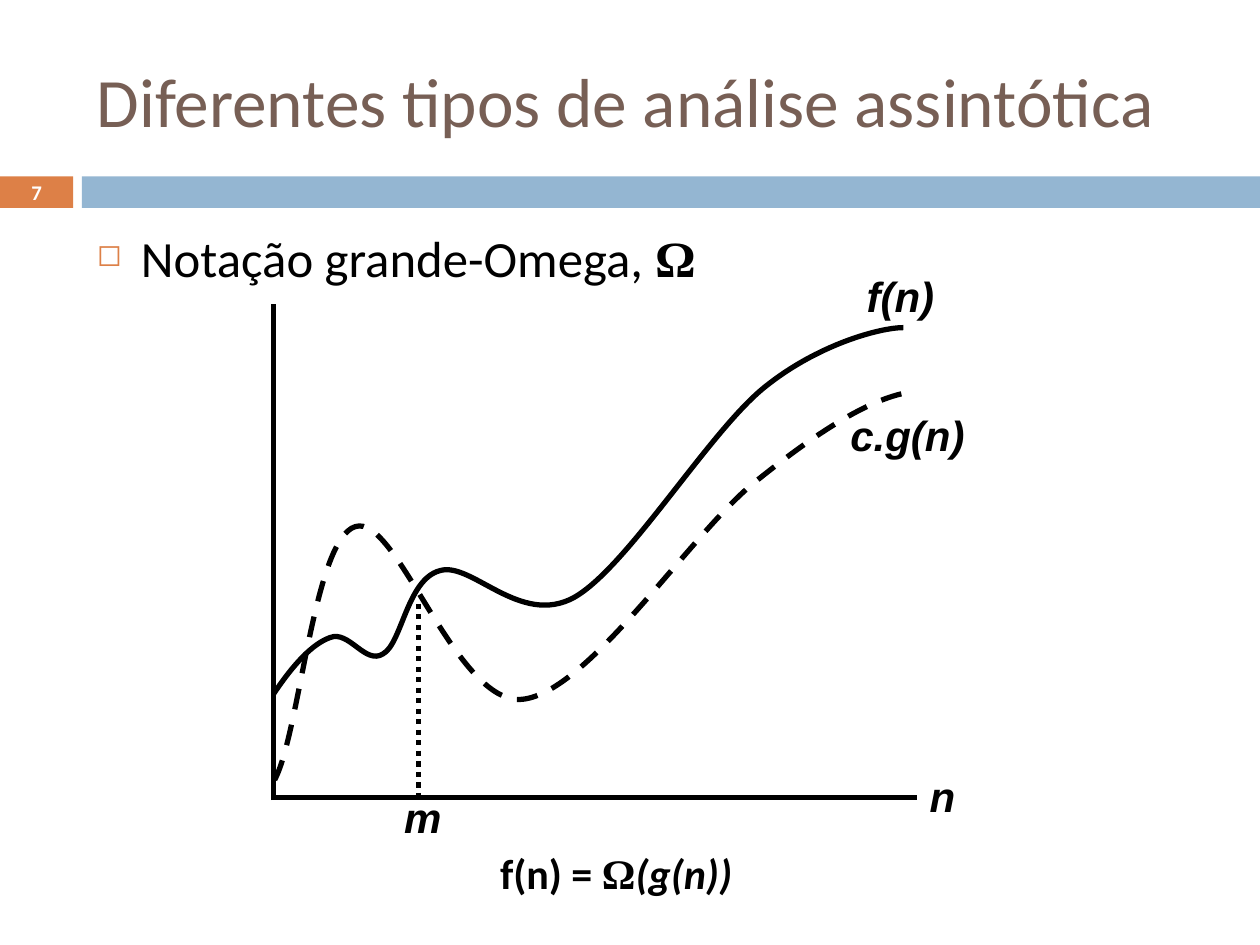
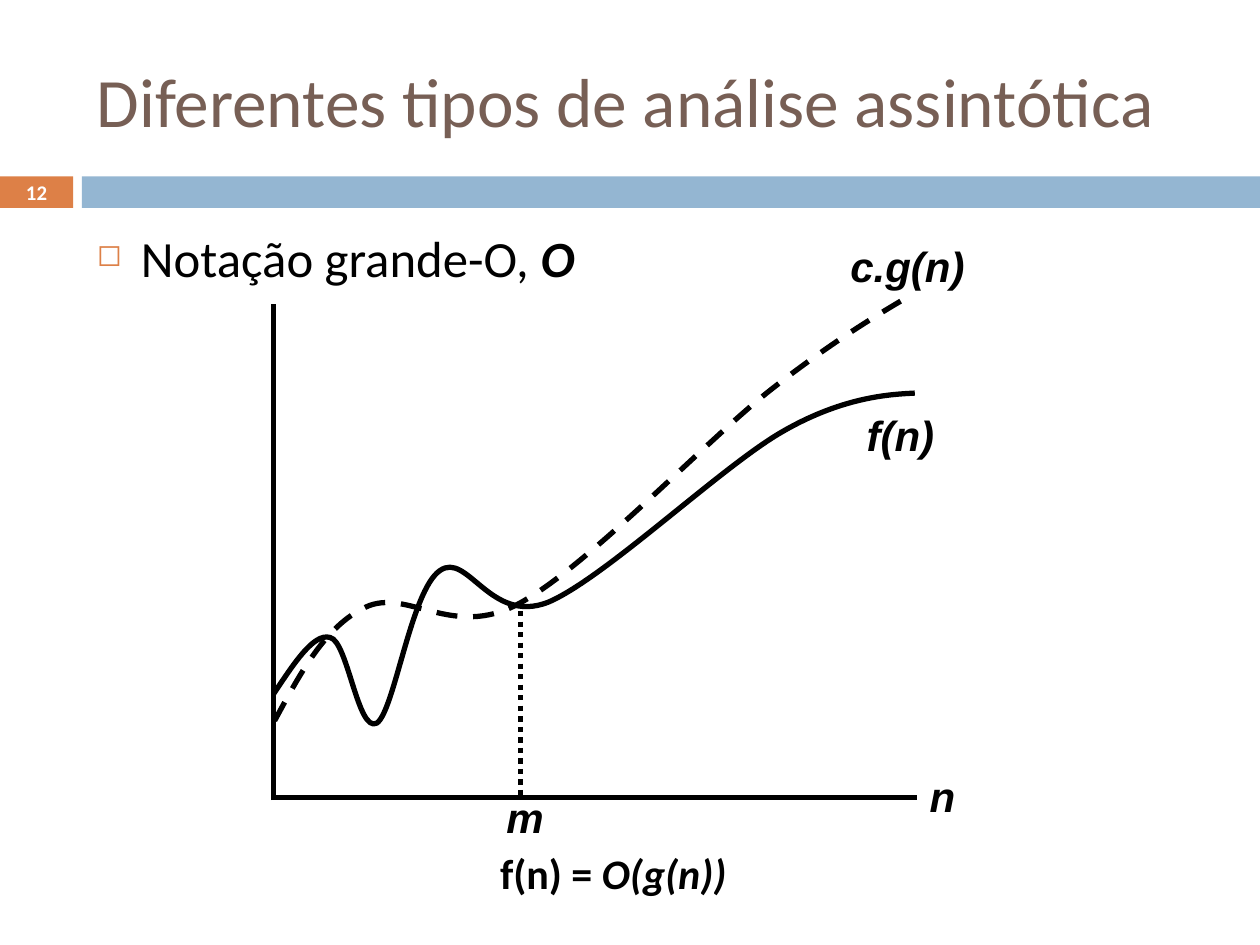
"""Build two slides on asymptotic analysis, each with a plot of f(n) and c.g(n)."""
from lxml.etree import SubElement
from pptx import Presentation
from pptx.dml.color import RGBColor as RGB
from pptx.enum.dml import MSO_LINE as DASH
from pptx.enum.shapes import MSO_CONNECTOR as LINK, MSO_SHAPE as SHAPE
from pptx.enum.text import MSO_ANCHOR as ANCHOR, PP_ALIGN as ALIGN
from pptx.oxml.ns import qn
from pptx.util import Inches, Pt

COLORS = {"ink": "000000", "title": "775F55", "orange": "DD8047",
          "blue": "94B6D2", "white": "FFFFFF"}
TITLE = "Diferentes tipos de análise assintótica"
ITALIC = {"bold": True, "italic": True}
OMEGA = {"font": "Times New Roman", "bold": True}
BASE, LEFT = 6.33, 2.17

SLIDES = [
    {"number": "7",
     "head": [("Notação grande-Omega, ", {}), ("Ω", OMEGA)],
     "rule": [("f(n) = ", {}), ("Ω", OMEGA), ("(g(n))", ITALIC)],
     "cross": (3.32, 4.79),
     "labels": [("c.g(n)", 6.65, 3.2, 1.34), ("f(n)", 6.78, 2.1, 1.06)],
     "f": [(2.17, 5.51), (2.33, 5.27), (2.48, 5.11), (2.62, 5.06),
           (2.77, 5), (2.9, 5.28), (3.04, 5.19),
           (3.19, 5.11), (3.23, 4.6), (3.49, 4.53),
           (3.74, 4.45), (4.13, 4.98), (4.56, 4.74),
           (4.98, 4.5), (5.62, 3.44), (6.06, 3.08),
           (6.49, 2.73), (6.99, 2.6), (7.17, 2.6)],
     "g": [(2.18, 6.19), (2.38, 5.82), (2.49, 4.28), (2.82, 4.18),
           (3.15, 4.07), (3.62, 5.61), (4.15, 5.55),
           (4.68, 5.49), (5.49, 4.22), (6, 3.82),
           (6.51, 3.41), (6.93, 3.15), (7.24, 3.11)]},
    {"number": "12",
     "head": [("Notação grande-O, ", {}), ("O", ITALIC)],
     "rule": [("f(n) = ", {}), ("O(g(n))", ITALIC)],
     "cross": (4.13, 4.85),
     "labels": [("c.g(n)", 6.65, 1.86, 1.34), ("f(n)", 6.78, 3.2, 1.06)],
     "f": [(2.17, 5.51), (2.33, 5.27), (2.49, 5.02), (2.62, 5.06),
           (2.76, 5.09), (2.84, 5.82), (2.99, 5.74),
           (3.13, 5.65), (3.26, 4.69), (3.49, 4.53),
           (3.71, 4.37), (3.89, 4.96), (4.35, 4.78),
           (4.8, 4.59), (5.74, 3.69), (6.22, 3.42),
           (6.71, 3.14), (7.09, 3.13), (7.26, 3.12)],
     "g": [(2.18, 5.72), (2.38, 5.35), (2.58, 4.97), (2.9, 4.82),
           (3.23, 4.66), (3.59, 5.08), (4.12, 4.79),
           (4.66, 4.5), (5.59, 3.51), (6.11, 3.1),
           (6.63, 2.69), (7.03, 2.46), (7.25, 2.33)]},
]


def color(name):
    return RGB.from_string(COLORS[name])


def add_text(slide, text, x, y, w, h, size=24, font="Calibri", ink="ink", bold=False,
             italic=False, align=ALIGN.LEFT, anchor=ANCHOR.TOP, bullet=None):
    frame = slide.shapes.add_textbox(*map(Inches, (x, y, w, h))).text_frame
    frame.word_wrap = True
    frame.vertical_anchor = anchor
    para = frame.paragraphs[0]
    para.alignment = align
    if bullet:
        add_bullet(para, bullet)
    for part, style in [(text, {})] if isinstance(text, str) else text:
        run = para.add_run()
        run.text = part
        run.font.size = Pt(size)
        run.font.name = style.get("font", font)
        run.font.bold = style.get("bold", bold)
        run.font.italic = style.get("italic", italic)
        run.font.color.rgb = color(ink)


def add_bullet(para, char):
    props = para._p.get_or_add_pPr()
    props.set("marL", str(Inches(0.35)))
    props.set("indent", str(-Inches(0.35)))
    tint = SubElement(props, qn("a:buClr"))
    SubElement(tint, qn("a:srgbClr")).set("val", COLORS["orange"])
    SubElement(props, qn("a:buSzPct")).set("val", "60000")
    SubElement(props, qn("a:buChar")).set("char", char)


def add_band(slide, x, w, fill):
    band = slide.shapes.add_shape(SHAPE.RECTANGLE, *map(Inches, (x, 1.4, w, 0.25)))
    band.shadow.inherit = False
    band.fill.solid()
    band.fill.fore_color.rgb = color(fill)
    band.line.fill.background()


def set_line(line, dash=None):
    line.color.rgb = color("ink")
    line.width = Pt(3)
    if dash:
        line.dash_style = dash


def add_line(slide, start, end, dash=None):
    link = slide.shapes.add_connector(LINK.STRAIGHT, *map(Inches, start + end))
    set_line(link.line, dash)
    SubElement(link.element.spPr, qn("a:effectLst"))


def add_curve(slide, points, dash=None):
    spots = [(Inches(x), Inches(y)) for x, y in points]
    pen = slide.shapes.build_freeform(*spots[0])
    pen.add_line_segments(spots[1:], close=False)
    curve = pen.convert_to_shape()
    curve.shadow.inherit = False
    curve.fill.background()
    set_line(curve.line, dash)
    route = next(curve.element.iter(qn("a:path")))
    steps = route.findall(qn("a:lnTo"))
    for i in range(0, len(steps), 3):
        bend = SubElement(route, qn("a:cubicBezTo"))
        for step in steps[i:i + 3]:
            bend.append(step[0])
            route.remove(step)


def add_plot(slide, data):
    x, y = data["cross"]
    add_line(slide, (LEFT, BASE), (7.28, BASE))
    add_line(slide, (LEFT, 6.35), (LEFT, 2.41))
    add_curve(slide, data["f"])
    add_curve(slide, data["g"], DASH.DASH)
    add_line(slide, (x, y), (x, BASE), DASH.ROUND_DOT)
    axis = [("n", 7.28, 6.07, 0.47), ("m", x - 0.21, 6.23, 0.47)]
    for text, left, top, w in axis + data["labels"]:
        add_text(slide, text, left, top, w, 0.5, font="Arial", **ITALIC)


def add_frame(slide, number):
    add_band(slide, 0, 0.58, "orange")
    add_band(slide, 0.65, 9.35, "blue")
    add_text(slide, TITLE, 0.67, 0.25, 8.92, 1.08, size=39.6, ink="title",
             anchor=ANCHOR.MIDDLE)
    add_text(slide, number, 0, 1.39, 0.58, 0.27, size=11.9, ink="white", bold=True,
             align=ALIGN.CENTER, anchor=ANCHOR.MIDDLE)


def main():
    deck = Presentation()
    deck.slide_width, deck.slide_height = Inches(10), Inches(7.5)
    for data in SLIDES:
        slide = deck.slides.add_slide(deck.slide_layouts[6])
        add_frame(slide, data["number"])
        add_text(slide, data["head"], 0.67, 1.75, 8.92, 4.92, size=29, bullet="◻")
        add_plot(slide, data)
        add_text(slide, data["rule"], 3.87, 6.68, 2.42, 0.5, bold=True)
    deck.save("out.pptx")


if __name__ == "__main__":
    main()
